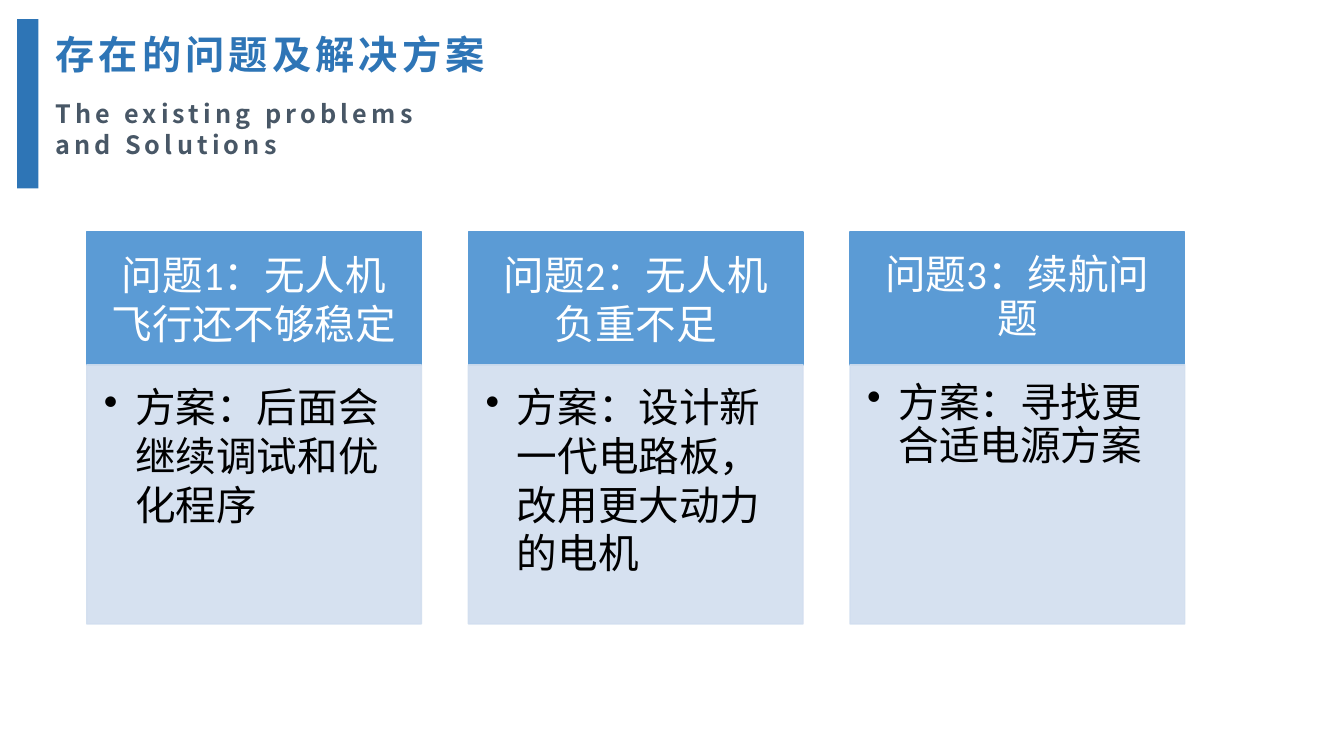
from dataclasses import dataclass

from pptx import Presentation
from pptx.dml.color import RGBColor as Rgb
from pptx.enum.shapes import MSO_SHAPE as Shape
from pptx.enum.text import MSO_ANCHOR as Anchor, MSO_AUTO_SIZE as AutoSize, PP_ALIGN as Align
from pptx.oxml.ns import qn
from pptx.util import Emu, Inches, Pt
from lxml.etree import SubElement


@dataclass(frozen=True)
class Theme:
    accent: str = "2E75B6"
    subtitle: str = "485766"
    head: str = "5B9BD5"
    panel: str = "D2DEEF"
    light: str = "FFFFFF"
    dark: str = "000000"
    heading_font: str = "Noto Sans CJK SC"
    body_font: str = "Calibri"
    title_size: int = 28
    subtitle_size: int = 18
    card_size: int = 29
    tracking: int = 3
    panel_alpha: int = 90


class ProblemSlide:
    """Boxes are (left, top, width, height) in percent of the slide."""

    def __init__(self, deck, theme):
        self.deck, self.theme = deck, theme
        self.slide = deck.slides.add_slide(deck.slide_layouts[5])

    def place(self, box):
        width, height = self.deck.slide_width, self.deck.slide_height
        return [Emu(round(share * side / 100))
                for share, side in zip(box, (width, height, width, height))]

    def style(self, paragraph, font_name, size, color, bold=False):
        font = paragraph.font
        font.name, font.size, font.bold = font_name, Pt(size), bold
        font.color.rgb = Rgb.from_string(color)

    def heading(self, holder, text, size, color, line_height):
        frame = holder.text_frame
        frame.text = text
        frame.word_wrap, frame.auto_size = True, AutoSize.NONE
        frame.vertical_anchor = Anchor.TOP
        paragraph = frame.paragraphs[0]
        paragraph.alignment = Align.LEFT
        paragraph.line_spacing = Pt(line_height)
        self.style(paragraph, self.theme.heading_font, size, color, bold=True)
        # Letter spacing and the East Asian typeface
        properties = paragraph._p.pPr.find(qn("a:defRPr"))
        properties.set("spc", str(self.theme.tracking * 100))
        SubElement(properties, qn("a:ea"), typeface=self.theme.heading_font)

    def title(self, text, box):
        holder = self.slide.shapes.title
        holder.left, holder.top, holder.width, holder.height = self.place(box)
        self.heading(holder, text, self.theme.title_size, self.theme.accent, 36)

    def subtitle(self, text, box):
        holder = self.slide.shapes.add_textbox(*self.place(box))
        self.heading(holder, text, self.theme.subtitle_size, self.theme.subtitle, 22)

    def block(self, box, color, outlined=True, alpha=100):
        block = self.slide.shapes.add_shape(Shape.RECTANGLE, *self.place(box))
        block.shadow.inherit = False
        block.fill.solid()
        block.fill.fore_color.rgb = Rgb.from_string(color)
        if outlined:
            block.line.color.rgb = Rgb.from_string(color)
            block.line.width = Pt(1)
        else:
            block.line.fill.background()
        if alpha < 100:
            for tone in block._element.spPr.iter(qn("a:srgbClr")):
                SubElement(tone, qn("a:alpha"), val=str(alpha * 1000))
        return block

    def label(self, block, text, color, insets, anchor, align, spacing, bullet=False):
        frame = block.text_frame
        frame.text = text
        frame.word_wrap, frame.vertical_anchor = True, anchor
        (frame.margin_left, frame.margin_top,
         frame.margin_right, frame.margin_bottom) = map(Inches, insets)
        paragraph = frame.paragraphs[0]
        paragraph.alignment, paragraph.line_spacing = align, spacing
        if bullet:
            properties = paragraph._p.get_or_add_pPr()
            indent = Inches(0.31)
            properties.set("marL", str(indent))
            properties.set("indent", str(-indent))
            SubElement(properties, qn("a:buChar"), char="•")
        self.style(paragraph, self.theme.body_font, self.theme.card_size, color)

    def card(self, column, problem, solution, spacing):
        theme = self.theme
        left, top, width = 6.45 + 28.4 * column, 30.67, 24.9
        head_height, panel_height = 17.6, 34.27
        head = self.block((left, top, width, head_height), theme.head)
        self.label(head, problem, theme.light, (0.23, 0.13, 0.23, 0.13),
                   Anchor.MIDDLE, Align.CENTER, spacing)
        panel = self.block((left, top + head_height, width, panel_height),
                           theme.panel, alpha=theme.panel_alpha)
        self.label(panel, solution, theme.dark, (0.17, 0.17, 0.23, 0.25),
                   Anchor.TOP, Align.LEFT, spacing, bullet=True)


CARDS = [
    ("问题1：无人机飞行还不够稳定", "方案：后面会继续调试和优化程序", 1.0),
    ("问题2：无人机负重不足", "方案：设计新一代电路板，改用更大动力的电机", 1.0),
    ("问题3：续航问题", "方案：寻找更合适电源方案", 0.9),
]


def main():
    deck = Presentation()
    deck.slide_width, deck.slide_height = Inches(13.33), Inches(7.5)
    theme = Theme()
    page = ProblemSlide(deck, theme)

    # Heading with its accent bar
    page.title("存在的问题及解决方案", (3.38, 2.93, 34.13, 7.6))
    page.subtitle("The existing problems and Solutions", (3.38, 12.27, 31.36, 9.47))
    page.block((1.28, 2.53, 1.58, 22.4), theme.accent, outlined=False)

    # One card per problem
    for column, (problem, solution, spacing) in enumerate(CARDS):
        page.card(column, problem, solution, spacing)

    deck.save("out.pptx")


if __name__ == "__main__":
    main()
